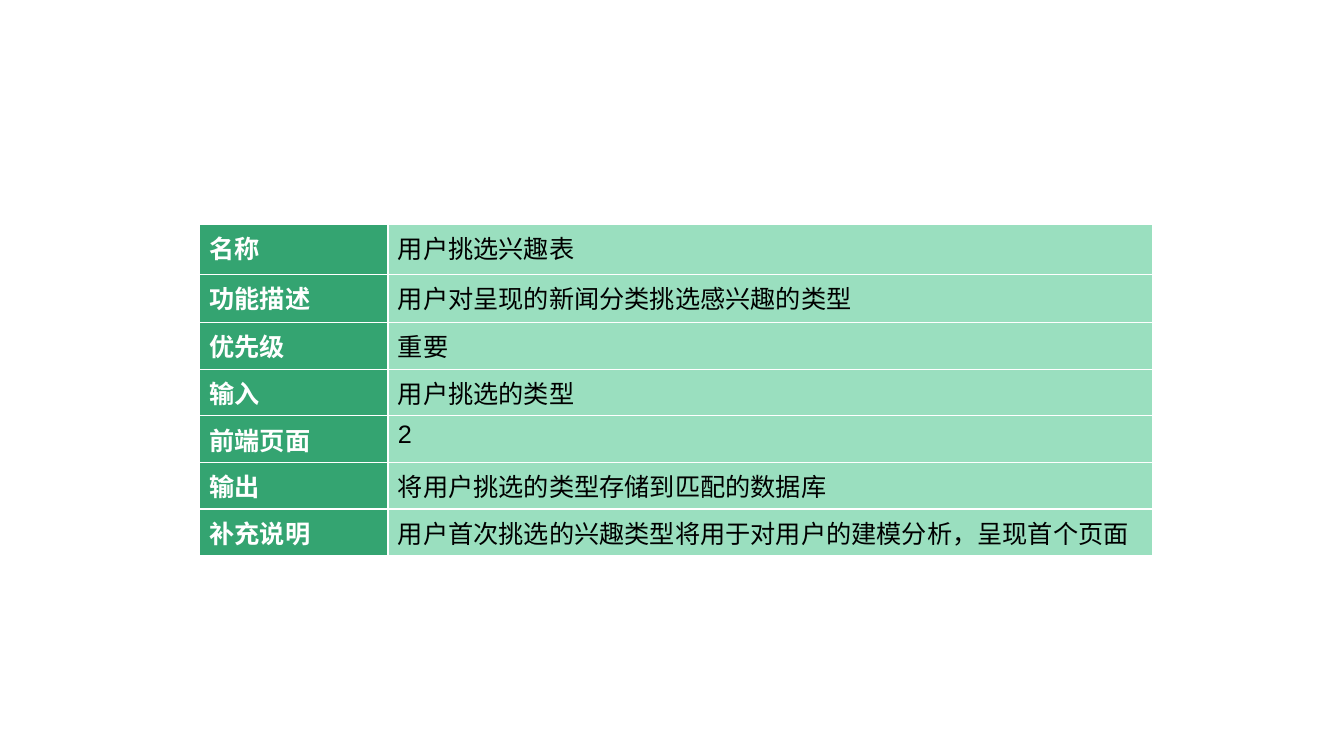
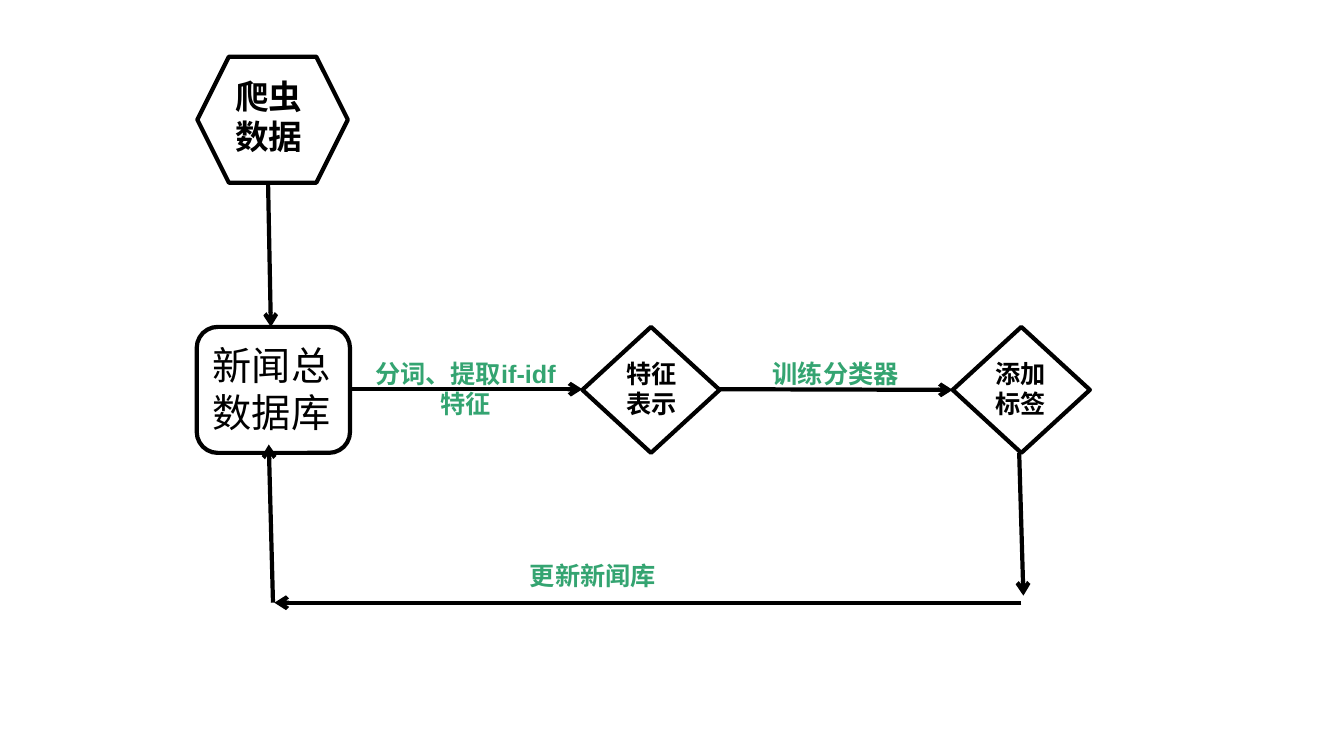
from lxml.etree import SubElement
from pptx import Presentation
from pptx.dml.color import RGBColor
from pptx.enum.shapes import MSO_CONNECTOR, MSO_SHAPE
from pptx.enum.text import PP_ALIGN
from pptx.oxml.ns import qn
from pptx.util import Pt

FONT = "Arial"
GREEN, MINT, BLACK, WHITE = "34A471", "9ADFBF", "000000", "FFFFFF"

REQUIREMENT = [
    ("名称", "用户挑选兴趣表"),
    ("功能描述", "用户对呈现的新闻分类挑选感兴趣的类型"),
    ("优先级", "重要"),
    ("输入", "用户挑选的类型"),
    ("前端页面", "2"),
    ("输出", "将用户挑选的类型存储到匹配的数据库"),
    ("补充说明", "用户首次挑选的兴趣类型将用于对用户的建模分析，呈现首个页面"),
]
TABLE_LEFT, TABLE_TOP = 142.5, 160
COL_WIDTHS = (134.6, 546.5)
ROW_HEIGHTS = (36, 34.5) + (30.2,) * 5

NODE_HEIGHT, FLOW_TOP, FLOW_TEXT_TOP = 90, 233.5, 252.5
NODES = [
    (MSO_SHAPE.HEXAGON, 141, 40.5, 107.5),
    (MSO_SHAPE.ROUNDED_RECTANGLE, 140.5, FLOW_TOP, 109.5),
    (MSO_SHAPE.DIAMOND, 416, FLOW_TOP, 98),
    (MSO_SHAPE.DIAMOND, 680.5, FLOW_TOP, 98),
]
ARROWS = [
    (191.5, 131, 193.5, 233.5),
    (249.5, 278, 416, 278),
    (514, 278, 680.5, 278.5),
    (728, 323.5, 731, 425.5),
    (729.5, 430.5, 196, 430.5),
    (195, 430.5, 192, 317.5),
]
NODE_TEXTS = [
    ("爬虫数据", (159, 50.5, 66, 65.5), 24, True),
    ("新闻总数据库", (144, 240.5, 100, 75), 28, False),
    ("特征表示", (435, FLOW_TEXT_TOP, 60.5, 51), 18, True),
    ("添加标签", (699, FLOW_TEXT_TOP, 60.5, 51), 18, True),
]
ARROW_LABELS = [
    ("分词、提取if-idf特征", (260.5, FLOW_TEXT_TOP, 144, 51)),
    ("训练分类器", (525, FLOW_TEXT_TOP, 144, 29)),
    ("更新新闻库", (351.5, 396.5, 144, 29)),
]


def rgb(value):
    return RGBColor.from_string(value)


def write(tf, text, size=18, color=BLACK, bold=False, align=PP_ALIGN.LEFT):
    tf.word_wrap = True
    p = tf.paragraphs[0]
    p.alignment = align
    r = p.add_run()
    r.text = text
    r.font.name, r.font.size, r.font.bold = FONT, Pt(size), bold
    r.font.color.rgb = rgb(color)


def add_label(s, text, box, **style):
    sp = s.shapes.add_textbox(*map(Pt, box))
    write(sp.text_frame, text, align=PP_ALIGN.CENTER, **style)


def outline(sp):
    sp.line.color.rgb = rgb(BLACK)
    sp.line.width = Pt(3)


def add_node(s, kind, left, top, width):
    sp = s.shapes.add_shape(kind, Pt(left), Pt(top), Pt(width), Pt(NODE_HEIGHT))
    sp.shadow.inherit = False
    sp.fill.solid()
    sp.fill.fore_color.rgb = rgb(WHITE)
    outline(sp)


def add_arrow(s, *ends):
    line = s.shapes.add_connector(MSO_CONNECTOR.STRAIGHT, *map(Pt, ends))
    outline(line)
    SubElement(line.line._get_or_add_ln(), qn("a:tailEnd"), type="arrow")
    SubElement(line._element.spPr, qn("a:effectLst"))


def build_requirement(s):
    table = s.shapes.add_table(
        len(REQUIREMENT), len(COL_WIDTHS), Pt(TABLE_LEFT), Pt(TABLE_TOP),
        Pt(sum(COL_WIDTHS)), Pt(sum(ROW_HEIGHTS))).table
    table.first_col = True
    for col, width in zip(table.columns, COL_WIDTHS):
        col.width = Pt(width)
    for row, height, texts in zip(table.rows, ROW_HEIGHTS, REQUIREMENT):
        row.height = Pt(height)
        for i, (cell, text) in enumerate(zip(row.cells, texts)):
            heading = i == 0
            cell.fill.solid()
            cell.fill.fore_color.rgb = rgb(GREEN if heading else MINT)
            write(cell.text_frame, text, bold=heading,
                  color=WHITE if heading else BLACK)


def build_flow(s):
    for node in NODES:
        add_node(s, *node)
    for arrow in ARROWS:
        add_arrow(s, *arrow)
    for text, box, size, bold in NODE_TEXTS:
        add_label(s, text, box, size=size, bold=bold)
    for text, box in ARROW_LABELS:
        add_label(s, text, box, color=GREEN, bold=True)


prs = Presentation()
prs.slide_width, prs.slide_height = Pt(960), Pt(540)
for build in (build_requirement, build_flow):
    build(prs.slides.add_slide(prs.slide_layouts[6]))
prs.save("out.pptx")
